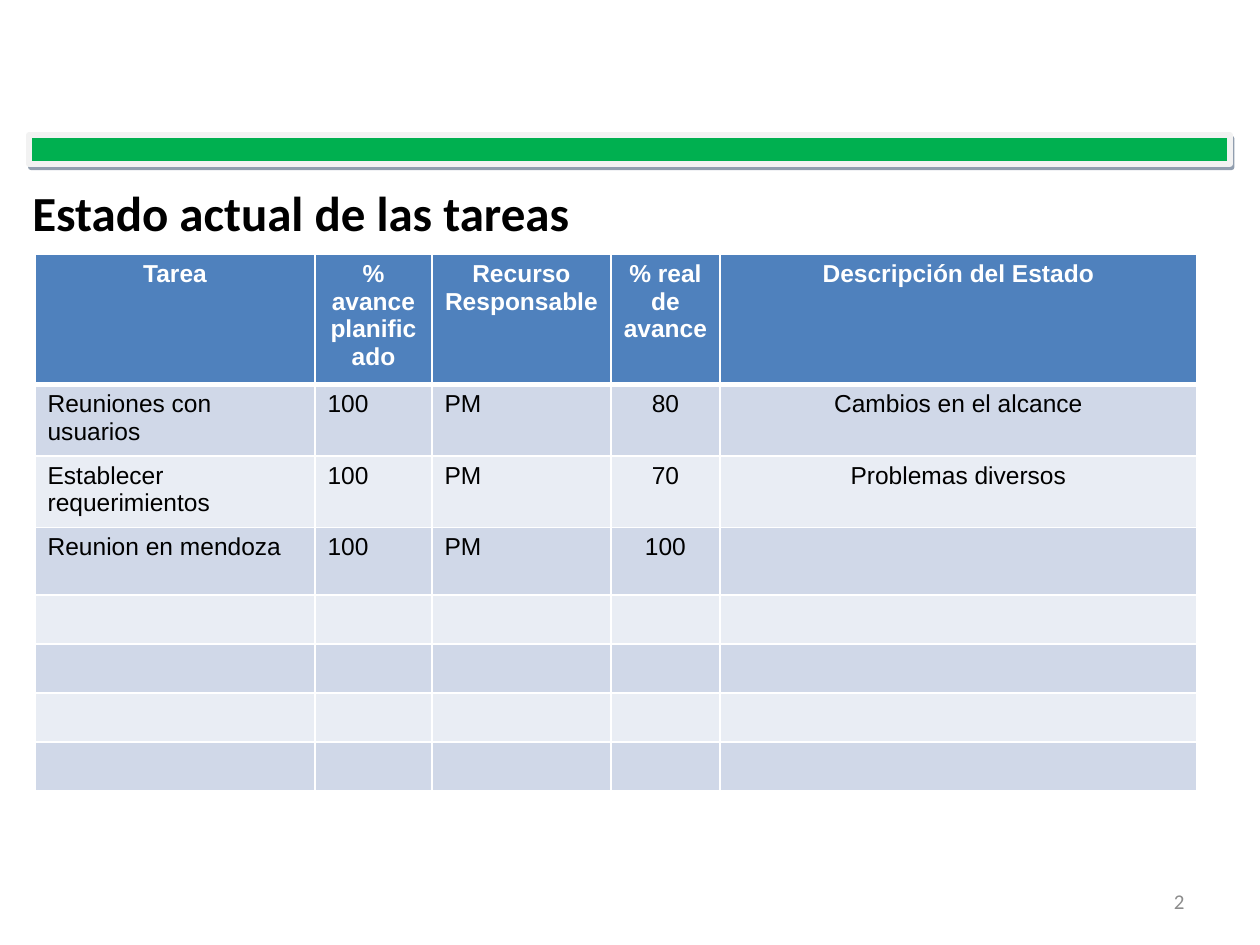
from lxml.etree import SubElement
from pptx import Presentation
from pptx.dml.color import RGBColor
from pptx.enum.shapes import MSO_SHAPE
from pptx.enum.text import MSO_ANCHOR, PP_ALIGN
from pptx.oxml import parse_xml
from pptx.oxml.ns import nsdecls, qn
from pptx.util import Emu, Pt

SCALE = 914400 / 126
COLORS = {
    "green": "00B050", "frame": "F2F2F2", "shadow": "243F60",
    "header": "4F81BD", "odd": "D0D8E8", "even": "E9EDF4",
    "white": "FFFFFF", "black": "000000", "gray": "8C8C8C",
}


def px(*lengths):
    return [Emu(round(length * SCALE)) for length in lengths]


def write(frame, text, font_name, size, color, bold=False, align=PP_ALIGN.LEFT):
    frame.word_wrap = True
    frame.text = text
    for para in frame.paragraphs:
        para.alignment = align
        font = para.font
        font.name, font.size, font.bold = font_name, Pt(size), bold
        font.color.rgb = RGBColor.from_string(COLORS[color])


deck = Presentation()
deck.slide_width, deck.slide_height = px(1260, 945)
page = deck.slides.add_slide(deck.slide_layouts[6])

# Green band with a hard shadow
band = page.shapes.add_shape(MSO_SHAPE.RECTANGLE, *px(29, 135, 1201, 29))
band.fill.solid()
band.fill.fore_color.rgb = RGBColor.from_string(COLORS["green"])
band.line.color.rgb = RGBColor.from_string(COLORS["frame"])
band.line.width = Pt(3)
band.shadow.inherit = False
effects = band.element.spPr.find(qn("a:effectLst"))
effects.append(parse_xml(
    f'<a:outerShdw {nsdecls("a")} dist="28000" dir="3800000" algn="ctr" rotWithShape="0">'
    f'<a:srgbClr val="{COLORS["shadow"]}"><a:alpha val="50000"/></a:srgbClr></a:outerShdw>'))

# Title and page number
for area, text, size, color, bold, align in [
    ((20, 187, 1071, 49), "Estado actual de las tareas", 28, "black", True, PP_ALIGN.LEFT),
    ((903, 876, 294, 50), "2", 12, "gray", False, PP_ALIGN.RIGHT),
]:
    box = page.shapes.add_textbox(*px(*area))
    box.text_frame.vertical_anchor = MSO_ANCHOR.MIDDLE
    write(box.text_frame, text, "Calibri", size, color, bold, align)

# Task table
widths = [280, 117, 179, 109, 477]
heights = [122] + [68] * 3 + [49] * 4
rows = [
    ["Tarea", "% avance\nplanificado", "Recurso\nResponsable", "% real de avance",
     "Descripción del Estado"],
    ["Reuniones con usuarios", "100", "PM", "80", "Cambios en el alcance"],
    ["Establecer requerimientos", "100", "PM", "70", "Problemas diversos"],
    ["Reunion en mendoza", "100", "PM", "100", ""],
] + [[""] * 5] * 4
table = page.shapes.add_table(
    len(rows), len(widths), *px(35, 254, sum(widths), sum(heights))).table
for column, width in zip(table.columns, px(*widths)):
    column.width = width
for row, height in zip(table.rows, px(*heights)):
    row.height = height

for r, texts in enumerate(rows):
    header = r == 0
    fill = "header" if header else "odd" if r % 2 else "even"
    for c, text in enumerate(texts):
        cell = table.cell(r, c)
        centered = header or c >= 3
        write(cell.text_frame, text, "Arial", 14, "white" if header else "black",
              header, PP_ALIGN.CENTER if centered else PP_ALIGN.LEFT)
        if not text:
            cell.margin_top = cell.margin_bottom = 0

        # White borders, thicker under the header; they precede the fill
        properties = cell._tc.get_or_add_tcPr()
        for side in ("L", "R", "T", "B"):
            thick = (r, side) in ((0, "B"), (1, "T"))
            border = SubElement(properties, qn(f"a:ln{side}"), w=str(Pt(3 if thick else 1)))
            paint = SubElement(border, qn("a:solidFill"))
            SubElement(paint, qn("a:srgbClr"), val=COLORS["white"])
        cell.fill.solid()
        cell.fill.fore_color.rgb = RGBColor.from_string(COLORS[fill])

deck.save("out.pptx")
